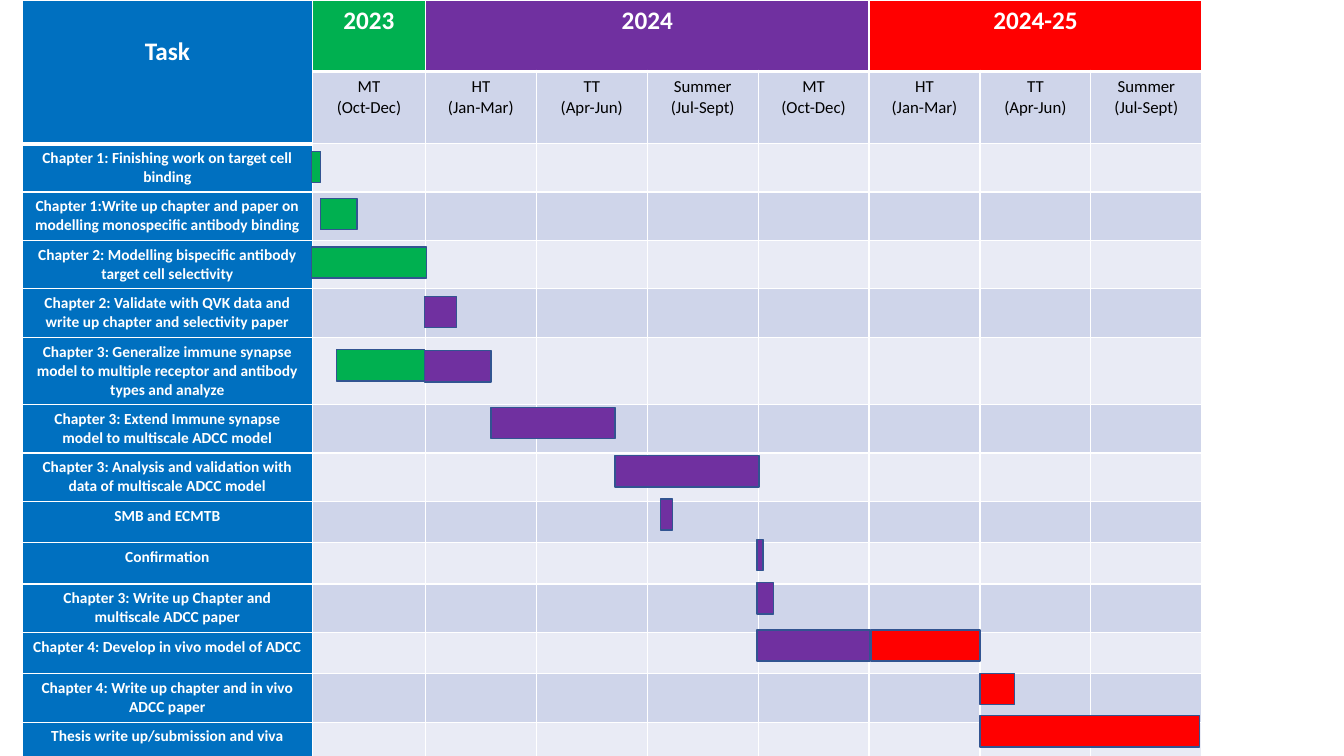
from dataclasses import dataclass

from lxml import etree
from pptx import Presentation
from pptx.dml.color import RGBColor
from pptx.enum.shapes import MSO_SHAPE
from pptx.enum.text import PP_ALIGN
from pptx.oxml.ns import qn
from pptx.util import Inches, Pt

RECTANGLE = MSO_SHAPE.RECTANGLE
CENTER = PP_ALIGN.CENTER
FONT = "Calibri"
COLORS = {
    "white": "FFFFFF", "black": "000000", "task": "0070C0",
    "green": "00B050", "purple": "7030A0", "red": "FF0000",
    "outline": "325491", "dark_band": "CFD5EA", "light_band": "E9EBF5",
}
TABLE_LEFT, TASK_WIDTH, FIRST_TERM_WIDTH, TERM_WIDTH = 0.22, 2.88, 1.12, 1.1
HEADER_HEIGHT, BAR_HEIGHT = 0.71, 0.31
TASK_TOP_MARGIN = 0.36


@dataclass
class Year:
    label: str
    color: str
    first_column: int
    last_column: int


@dataclass
class Task:
    label: str
    height: float


@dataclass
class Bar:
    left: float
    top: float
    width: float
    color: str


YEARS = [
    Year("2023", "green", 1, 1),
    Year("2024", "purple", 2, 5),
    Year("2024-25", "red", 6, 8),
]
MT, HT = "MT\n(Oct-Dec)", "HT\n(Jan-Mar)"
TT, SUMMER = "TT\n(Apr-Jun)", "Summer\n(Jul-Sept)"
TERMS = [MT, HT, TT, SUMMER] * 2
TASKS = [
    Task("Chapter 1: Finishing work on target cell binding", 0.48),
    Task("Chapter 1:Write up chapter and paper on modelling monospecific antibody binding", 0.48),
    Task("Chapter 2: Modelling bispecific antibody target cell selectivity", 0.48),
    Task("Chapter 2: Validate with QVK data and write up chapter and selectivity paper", 0.48),
    Task("Chapter 3: Generalize immune synapse model to multiple receptor and antibody "
         "types and analyze", 0.67),
    Task("Chapter 3: Extend Immune synapse model to multiscale ADCC model", 0.48),
    Task("Chapter 3: Analysis and validation with data of multiscale ADCC model", 0.48),
    Task("SMB and ECMTB", 0.41),
    Task("Confirmation", 0.41),
    Task("Chapter 3: Write up Chapter and multiscale ADCC paper", 0.48),
    Task("Chapter 4: Develop in vivo model of ADCC", 0.41),
    Task("Chapter 4: Write up chapter and in vivo ADCC paper", 0.48),
    Task("Thesis write up/submission and viva", 0.34),
]
BARS = [
    Bar(3.09, 1.5, 0.09, "green"),
    Bar(3.18, 1.97, 0.36, "green"),
    Bar(3.09, 2.45, 1.14, "green"),
    Bar(4.21, 2.94, 0.32, "purple"),
    Bar(3.34, 3.47, 0.87, "green"),
    Bar(4.21, 3.48, 0.66, "purple"),
    Bar(4.87, 4.04, 1.23, "purple"),
    Bar(6.1, 4.52, 1.43, "purple"),
    Bar(6.55, 4.95, 0.12, "purple"),
    Bar(7.51, 5.35, 0.06, "purple"),
    Bar(7.51, 5.78, 0.16, "purple"),
    Bar(7.51, 6.25, 1.12, "purple"),
    Bar(8.64, 6.25, 1.08, "red"),
    Bar(9.72, 6.68, 0.34, "red"),
    Bar(9.72, 7.1, 2.18, "red"),
]


def rgb(name: str) -> RGBColor:
    return RGBColor.from_string(COLORS[name])


def write_text(frame, text: str, *, size: float, color: str = "white", bold: bool = True) -> None:
    for index, line in enumerate(text.split("\n")):
        para = frame.paragraphs[0] if index == 0 else frame.add_paragraph()
        para.alignment = CENTER
        span = para.add_run()
        span.text = line
        span.font.name = FONT
        span.font.size = Pt(size)
        span.font.bold = bold
        span.font.color.rgb = rgb(color)


def style_cell(cell, color: str, bottom_width: float = 1) -> None:
    properties = cell._tc.get_or_add_tcPr()
    for side, width in (("L", 1), ("R", 1), ("T", 1), ("B", bottom_width)):
        border = etree.SubElement(properties, qn(f"a:ln{side}"), w=str(Pt(width)))
        fill = etree.SubElement(border, qn("a:solidFill"))
        etree.SubElement(fill, qn("a:srgbClr"), val=COLORS["white"])
    cell.fill.solid()
    cell.fill.fore_color.rgb = rgb(color)


def add_schedule(page) -> None:
    widths = [TASK_WIDTH, FIRST_TERM_WIDTH] + [TERM_WIDTH] * (len(TERMS) - 1)
    heights = [HEADER_HEIGHT] * 2 + [task.height for task in TASKS]
    table = page.shapes.add_table(
        len(heights), len(widths), Inches(TABLE_LEFT), 0,
        Inches(sum(widths)), Inches(sum(heights))).table
    for column, width in zip(table.columns, widths):
        column.width = Inches(width)
    for row, height in zip(table.rows, heights):
        row.height = Inches(height)

    # Task heading, over both header rows
    for row in range(2):
        style_cell(table.cell(row, 0), "task", bottom_width=3)
    heading = table.cell(0, 0)
    heading.merge(table.cell(1, 0))
    heading.margin_top = Inches(TASK_TOP_MARGIN)
    write_text(heading.text_frame, "Task", size=18)

    # Years
    for year in YEARS:
        for column in range(year.first_column, year.last_column + 1):
            style_cell(table.cell(0, column), year.color, bottom_width=3)
        cell = table.cell(0, year.first_column)
        if year.last_column > year.first_column:
            cell.merge(table.cell(0, year.last_column))
        write_text(cell.text_frame, year.label, size=18)

    # Terms
    for column, term in enumerate(TERMS, start=1):
        cell = table.cell(1, column)
        style_cell(cell, "dark_band")
        write_text(cell.text_frame, term, size=12, color="black", bold=False)

    # Tasks on alternating bands
    for row, task in enumerate(TASKS, start=2):
        style_cell(table.cell(row, 0), "task")
        write_text(table.cell(row, 0).text_frame, task.label, size=11)
        for column in range(1, len(widths)):
            style_cell(table.cell(row, column), "dark_band" if row % 2 else "light_band")


def add_bar(page, bar: Bar) -> None:
    box = page.shapes.add_shape(
        RECTANGLE, Inches(bar.left), Inches(bar.top), Inches(bar.width), Inches(BAR_HEIGHT))
    box.shadow.inherit = False
    box.fill.solid()
    box.fill.fore_color.rgb = rgb(bar.color)
    box.line.color.rgb = rgb("outline")
    box.line.width = Pt(1)


deck = Presentation()
deck.slide_width, deck.slide_height = Inches(13.33), Inches(7.5)
page = deck.slides.add_slide(deck.slide_layouts[6])
add_schedule(page)
for bar in BARS:
    add_bar(page, bar)
deck.save("out.pptx")
